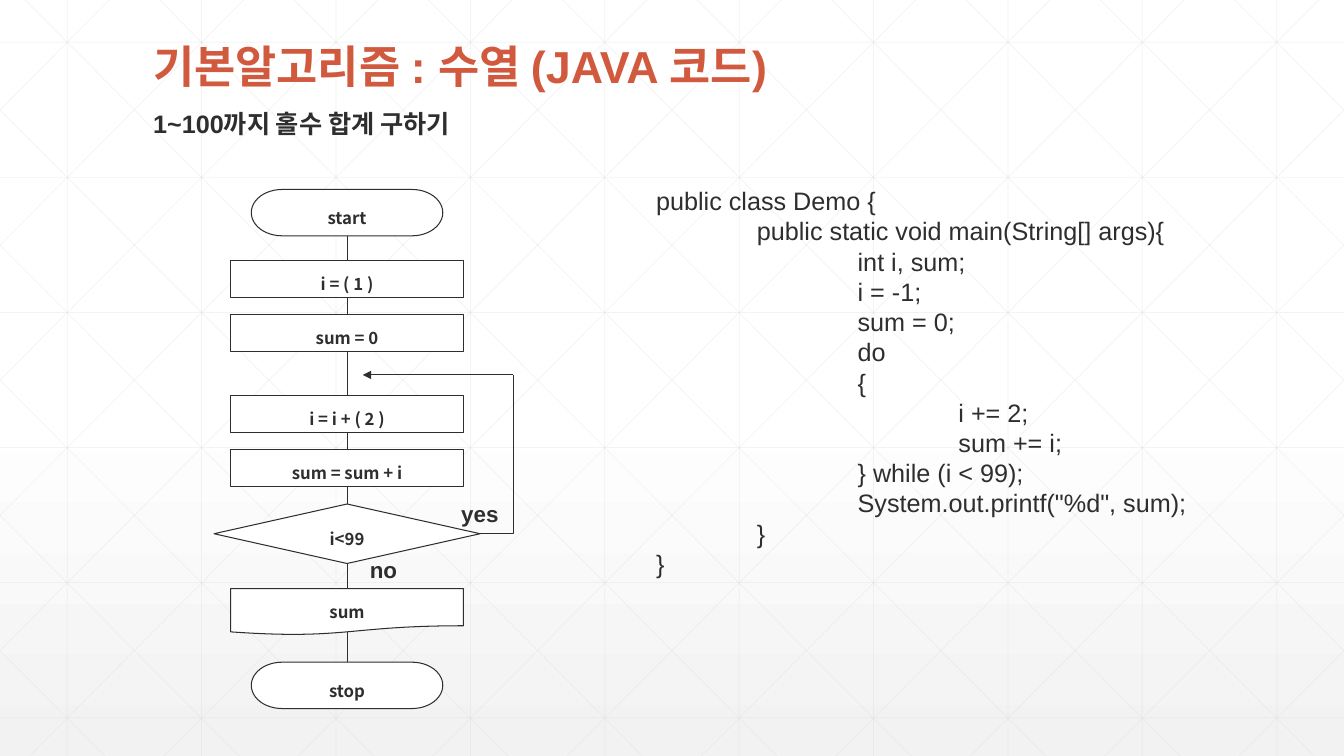
from copy import deepcopy

from lxml import etree
from pptx import Presentation, util as u
from pptx.dml.color import RGBColor
from pptx.enum import shapes, text
from pptx.oxml.ns import qn

INK = RGBColor(0x2D, 0x2E, 0x2D)
ACCENT = RGBColor(0xD1, 0x5A, 0x3E)
WHITE = RGBColor(0xFF, 0xFF, 0xFF)
PALE = RGBColor(0xF2, 0xF2, 0xF2)
MESH = RGBColor(0xD9, 0xD9, 0xD9)

COLUMNS, ROWS = 40, 22.5
CELL = u.Inches(13.333) / COLUMNS
BODY_FONT = "Arial"
NODE_FONT = "Noto Sans CJK KR"


def cells(*lengths):
    return [u.Emu(round(length * CELL)) for length in lengths]


def set_alpha(color_element, percent):
    etree.SubElement(color_element, qn("a:alpha"), val=str(percent * 1000))


class FlowSlide:
    def __init__(self, deck):
        self.slide = deck.slides.add_slide(deck.slide_layouts[6])

    def backdrop(self):
        fill = self.slide.background.fill
        fill.gradient()
        fill.gradient_angle = 270
        first = next(self.slide.element.iter(qn("a:gs")))
        first.addnext(deepcopy(first))
        for stop, (position, color) in zip(
            fill.gradient_stops, [(0, WHITE), (0.53, WHITE), (1, PALE)]
        ):
            stop.position = position
            stop.color.rgb = color
        last = list(self.slide.element.iter(qn("a:gs")))[-1]
        set_alpha(last[0], 65)

    def line(self, start, end, color=INK, width=0.75, alpha=None,
             arrow=False, elbow=False):
        kind = shapes.MSO_CONNECTOR.ELBOW if elbow else shapes.MSO_CONNECTOR.STRAIGHT
        link = self.slide.shapes.add_connector(kind, *cells(*start, *end))
        link.line.color.rgb = color
        link.line.width = u.Pt(width)
        properties = link.element.spPr
        etree.SubElement(properties, qn("a:effectLst"))
        if alpha:
            set_alpha(next(properties.iter(qn("a:srgbClr"))), alpha)
        if arrow:
            etree.SubElement(properties.find(qn("a:ln")), qn("a:tailEnd"), type="triangle")
        if elbow:
            properties.find(qn("a:prstGeom")).set("prst", "bentConnector2")
        return link

    def mesh_line(self, start, end):
        self.line(start, end, MESH, 0.5, 30)

    def style(self, paragraph, size, color=INK, bold=False, font=BODY_FONT):
        paragraph.font.name = font
        paragraph.font.size = u.Pt(size)
        paragraph.font.bold = bold
        paragraph.font.color.rgb = color

    def node(self, kind, label, center, top, width, height):
        box = self.slide.shapes.add_shape(
            kind, *cells(center - width / 2, top, width, height)
        )
        box.shadow.inherit = False
        box.fill.solid()
        box.fill.fore_color.rgb = WHITE
        box.line.color.rgb = INK
        box.line.width = u.Pt(0.75)
        frame = box.text_frame
        frame.margin_left = frame.margin_right = 0
        frame.margin_top = frame.margin_bottom = 0
        frame.vertical_anchor = text.MSO_ANCHOR.MIDDLE
        paragraph = frame.paragraphs[0]
        paragraph.text = label
        paragraph.alignment = text.PP_ALIGN.CENTER
        paragraph.line_spacing = 1.5
        paragraph.space_before = u.Pt(2.4)
        self.style(paragraph, 12, bold=True, font=NODE_FONT)
        return box

    def words(self, lines, area, size, color=INK, bold=False, wrap=True,
              centered=False, spacing=None):
        frame = self.slide.shapes.add_textbox(*cells(*area)).text_frame
        frame.word_wrap = wrap
        for index, (depth, content) in enumerate(lines):
            paragraph = frame.add_paragraph() if index else frame.paragraphs[0]
            paragraph.text = content
            paragraph.line_spacing = spacing
            if centered:
                paragraph.alignment = text.PP_ALIGN.CENTER
            self.style(paragraph, size, color, bold)
            if depth:
                paragraph._p.get_or_add_pPr().set("marL", str(u.Inches(depth)))


def draw_mesh(page):
    for column in range(10):
        page.mesh_line((2 + 4 * column, 0), (2 + 4 * column, ROWS))
    for row in range(6):
        y = 1.26 + 4.02 * row
        page.mesh_line((0, y), (COLUMNS, y))
    run = 22.37
    slope = ROWS / run
    for step in range(-5, 10):
        top_x = 0.75 + 4 * step
        left, right = max(top_x, 0), min(top_x + run, COLUMNS)
        upper, lower = (left - top_x) * slope, (right - top_x) * slope
        page.mesh_line((left, upper), (right, lower))
        page.mesh_line((COLUMNS - left, upper), (COLUMNS - right, lower))


def draw_flowchart(page):
    kinds = shapes.MSO_SHAPE
    axis = 10.33
    start, stop = [
        page.node(kinds.FLOWCHART_TERMINATOR, label, axis, top, 5.7, 1.38)
        for label, top in [("start", 5.64), ("stop", 19.71)]
    ]
    spine = page.line((axis, 7.02), (axis, 19.71))
    spine.begin_connect(start, 2)
    spine.end_connect(stop, 0)
    for label, top in [("i = ( 1 )", 7.74), ("sum = 0", 9.36),
                       ("i = i + ( 2 )", 11.76), ("sum = sum + i", 13.38)]:
        page.node(kinds.RECTANGLE, label, axis, top, 6.93, 1.11)
    page.node(kinds.FLOWCHART_DOCUMENT, "sum", axis, 17.52, 6.93, 1.38)
    page.node(kinds.DIAMOND, "i<99", axis, 15, 7.92, 1.77)
    loop_corner = (15.27, 11.16)
    page.line((14.29, 15.89), loop_corner, elbow=True)
    page.line(loop_corner, (10.8, 11.16), arrow=True)
    for answer, area in [("yes", (13.2, 14.73, 2.16, 1.26)),
                         ("no", (10.47, 16.41, 1.89, 1.26))]:
        page.words([(0, answer)], area, 16, bold=True, wrap=False, centered=True)


def main():
    deck = Presentation()
    deck.slide_width, deck.slide_height = cells(COLUMNS, ROWS)
    page = FlowSlide(deck)
    page.backdrop()
    draw_mesh(page)
    page.words([(0, "기본알고리즘 : 수열 (JAVA 코드)")], (4.26, 1.17, 31.5, 1.83),
               32, ACCENT, bold=True, spacing=0.9)
    page.words([(0, "1~100까지 홀수 합계 구하기")], (4.26, 3.09, 31.5, 1.2), 18, bold=True)
    draw_flowchart(page)
    code = [
        (0, "public class Demo {"),
        (1, "public static void main(String[] args){"),
        (2, "int i, sum;"),
        (2, "i = -1;"),
        (2, "sum = 0;"),
        (2, "do"),
        (2, "{"),
        (3, "i += 2;"),
        (3, "sum += i;"),
        (2, "} while (i < 99);"),
        (2, 'System.out.printf("%d", sum);'),
        (1, "}"),
        (0, "}"),
    ]
    page.words(code, (19.23, 5.37, 20, 12.12), 18)
    deck.save("out.pptx")


if __name__ == "__main__":
    main()
